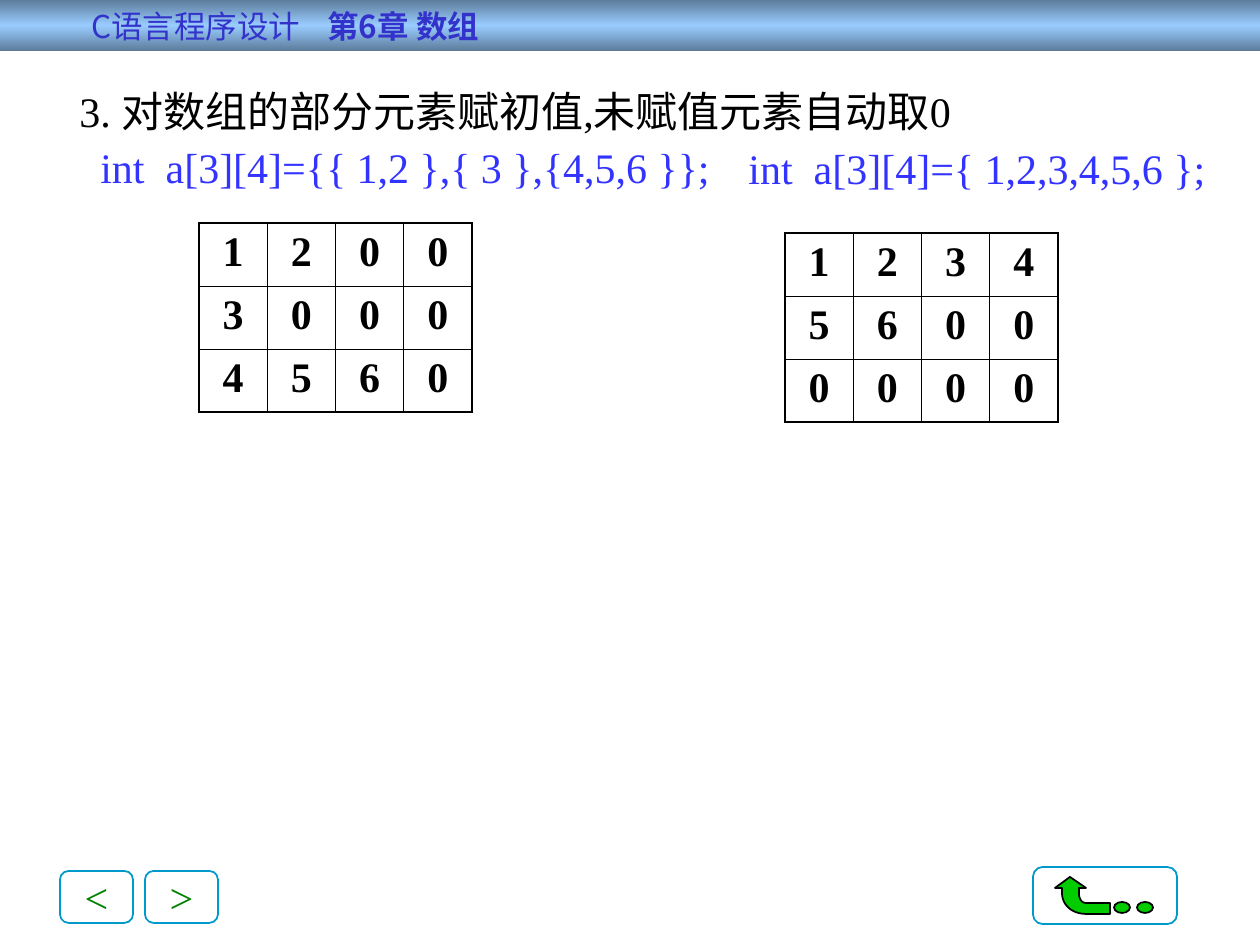
from copy import deepcopy
from typing import NamedTuple, Optional

from lxml.etree import SubElement
from pptx import Presentation
from pptx.dml.color import RGBColor
from pptx.enum.shapes import MSO_SHAPE as Shape
from pptx.enum.text import MSO_ANCHOR as Anchor, PP_ALIGN as Align
from pptx.oxml.ns import qn
from pptx.util import Pt

SCALE = 914400 / 126
SERIF, SANS = "Times New Roman", "Noto Sans CJK SC"
BLACK, BLUE, GREEN, CYAN = "000000", "3333FF", "00CC00", "0099CC"


class Box(NamedTuple):
    x: int
    y: int
    w: int
    h: int


class Run(NamedTuple):
    text: str
    color: str = BLACK
    size: int = 24
    font: str = SERIF
    bold: bool = False


class Para(NamedTuple):
    runs: list[Run]
    indent: int = 0


class Button(NamedTuple):
    box: Box
    label: str = ""


class Matrix(NamedTuple):
    box: Box
    rows: list[list[int]]


def px(n: float) -> int:
    return round(n * SCALE)


def rgb(color: str) -> RGBColor:
    return RGBColor.from_string(color)


def add_run(p, run: Run) -> None:
    r = p.add_run()
    r.text = run.text
    r.font.size, r.font.bold, r.font.name = Pt(run.size), run.bold, run.font
    r.font.color.rgb = rgb(run.color)
    SubElement(r.font._element, qn("a:ea"), typeface=SANS)


def set_indent(p, indent: int):
    pPr = p._p.get_or_add_pPr()
    pPr.set("marL", "0")
    pPr.set("indent", str(px(indent)))
    return pPr


def paint(sp, fill: Optional[str], line: Optional[str]) -> None:
    sp.shadow.inherit = False
    if fill:
        sp.fill.solid()
        sp.fill.fore_color.rgb = rgb(fill)
    else:
        sp.fill.background()
    if line:
        sp.line.color.rgb = rgb(line)
        sp.line.width = Pt(1)
    else:
        sp.line.fill.background()


def add_shape(s, kind: Shape, box: Box, fill: Optional[str] = None, line: Optional[str] = None):
    sp = s.shapes.add_shape(kind, *map(px, box))
    paint(sp, fill, line)
    return sp


def add_header(s) -> None:
    sp = add_shape(s, Shape.RECTANGLE, Box(0, 0, 1260, 51))
    sp.fill.gradient()
    sp.fill.gradient_angle = 90
    stops = sp._element.spPr.find(".//" + qn("a:gsLst"))
    stops.append(deepcopy(stops[0]))
    for stop, pos, color in zip(sp.fill.gradient_stops, (0, 0.5, 1), ("5D7C9B", "99CCFF", "5D7C9B")):
        stop.position = pos
        stop.color.rgb = rgb(color)
    tf = sp.text_frame
    tf.vertical_anchor = Anchor.MIDDLE
    p = tf.paragraphs[0]
    p.alignment = Align.LEFT
    tabs = SubElement(set_indent(p, 79), qn("a:tabLst"))
    SubElement(tabs, qn("a:tab"), pos=str(px(795)), algn="l")
    add_run(p, Run("C语言程序设计\t", "3333CC", 18, SANS))
    add_run(p, Run("第6章 数组", "3333CC", 18, SANS, True))


def add_button(s, button: Button) -> None:
    sp = add_shape(s, Shape.ROUNDED_RECTANGLE, button.box, line=CYAN)
    if button.label:
        tf = sp.text_frame
        tf.word_wrap = False
        tf.vertical_anchor = Anchor.MIDDLE
        tf.paragraphs[0].alignment = Align.CENTER
        add_run(tf.paragraphs[0], Run(button.label, "008000"))


def curve(a, b, c, d, steps: int = 12) -> list[tuple[float, float]]:
    ts = [i / steps for i in range(steps + 1)]
    return [
        tuple((1 - t) ** 3 * i + 3 * t * (1 - t) ** 2 * j + 3 * t * t * (1 - t) * k + t ** 3 * m
              for i, j, k, m in zip(a, b, c, d))
        for t in ts
    ]


def add_return_arrow(s) -> None:
    points = [
        (1055, 888), (1062, 888),
        *curve((1062, 893), (1062, 905), (1072, 914), (1086, 914)),
        (1110, 914), (1110, 903),
        *curve((1086, 903), (1081, 903), (1079, 898), (1079, 893)),
        (1079, 888), (1086, 888),
    ]
    fb = s.shapes.build_freeform(px(1070), px(877), scale=1.0)
    fb.add_line_segments([(px(x), px(y)) for x, y in points], close=True)
    paint(fb.convert_to_shape(), GREEN, BLACK)
    for x in (1114, 1137):
        add_shape(s, Shape.OVAL, Box(x, 902, 16, 11), GREEN, BLACK)


def add_text(s, box: Box, paras: list[Para]) -> None:
    tf = s.shapes.add_textbox(*map(px, box)).text_frame
    tf.word_wrap = True
    for i, para in enumerate(paras):
        p = tf.add_paragraph() if i else tf.paragraphs[0]
        p.line_spacing = 0.6
        p.space_before = Pt(15 if i else 0)
        set_indent(p, para.indent)
        for run in para.runs:
            add_run(p, run)


def set_border(cell, side: str, width: float) -> None:
    ln = SubElement(cell._tc.get_or_add_tcPr(), qn(f"a:ln{side}"), w=str(Pt(width)))
    SubElement(SubElement(ln, qn("a:solidFill")), qn("a:srgbClr"), val=BLACK)


def add_matrix(s, matrix: Matrix) -> None:
    n_rows, n_cols = len(matrix.rows), len(matrix.rows[0])
    table = s.shapes.add_table(n_rows, n_cols, *map(px, matrix.box)).table
    table.first_row = table.horz_banding = False
    for i, row in enumerate(matrix.rows):
        for j, value in enumerate(row):
            cell = table.cell(i, j)
            outer = {"L": j == 0, "R": j == n_cols - 1, "T": i == 0, "B": i == n_rows - 1}
            for side, is_outer in outer.items():
                set_border(cell, side, 1.08 if is_outer else 0.45)
            cell.fill.background()
            p = cell.text_frame.paragraphs[0]
            p.alignment = Align.CENTER
            add_run(p, Run(str(value), bold=True))


def main() -> None:
    prs = Presentation()
    prs.slide_width, prs.slide_height = px(1260), px(945)
    s = prs.slides.add_slide(prs.slide_layouts[6])
    add_header(s)
    add_return_arrow(s)
    for button in (
        Button(Box(145, 871, 73, 52), ">"),
        Button(Box(60, 871, 73, 52), "<"),
        Button(Box(1033, 867, 144, 57)),
    ):
        add_button(s, button)
    add_text(s, Box(67, 97, 1061, 99), [
        Para([Run("3. 对数组的部分元素赋初值,未赋值元素自动取0")]),
        Para([Run("int  a[3][4]={{ 1,2 },{ 3 },{4,5,6 }};", BLUE)], 21),
    ])
    add_text(s, Box(736, 154, 486, 43), [Para([Run("int  a[3][4]={ 1,2,3,4,5,6 };", BLUE)])])
    for matrix in (
        Matrix(Box(199, 223, 273, 189), [[1, 2, 0, 0], [3, 0, 0, 0], [4, 5, 6, 0]]),
        Matrix(Box(785, 233, 273, 189), [[1, 2, 3, 4], [5, 6, 0, 0], [0, 0, 0, 0]]),
    ):
        add_matrix(s, matrix)
    prs.save("out.pptx")


if __name__ == "__main__":
    main()
